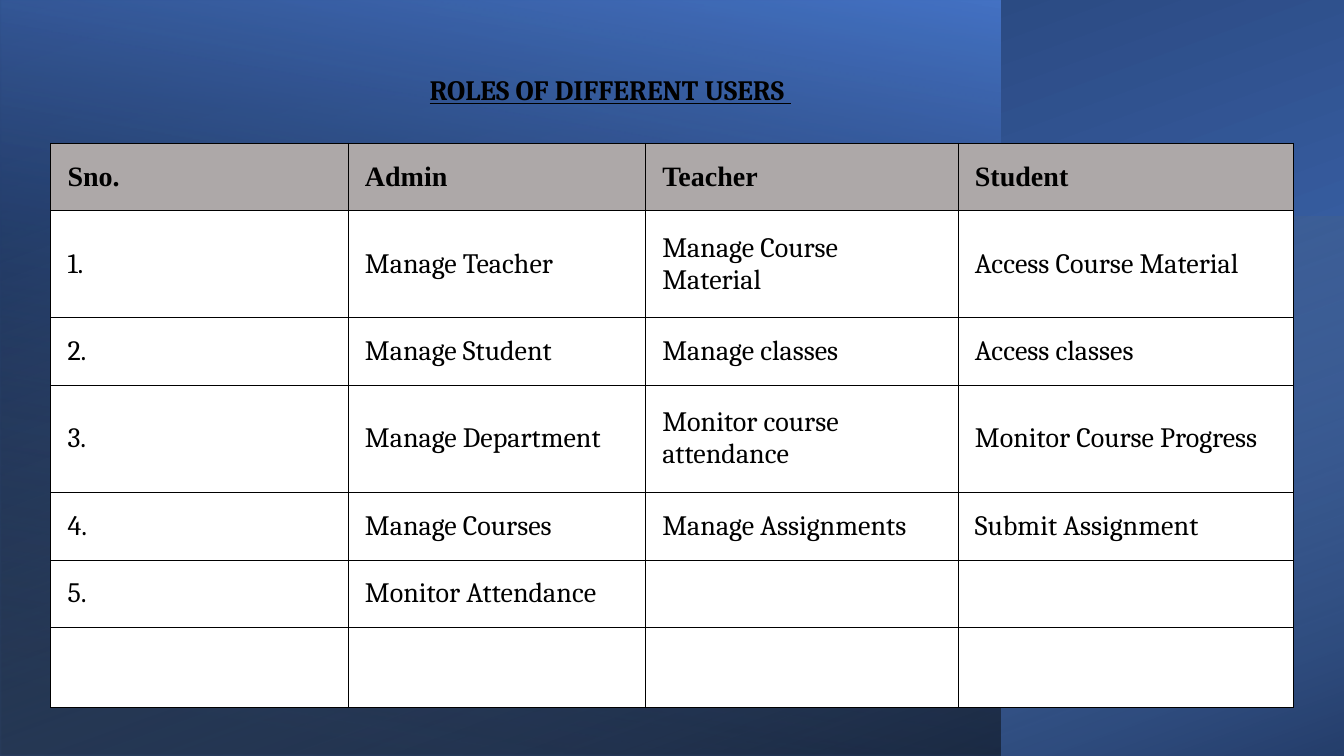
from dataclasses import dataclass

from lxml.etree import SubElement
from pptx import Presentation
from pptx.dml.color import RGBColor
from pptx.enum.shapes import MSO_SHAPE as Preset
from pptx.enum.text import MSO_ANCHOR as Anchor, MSO_AUTO_SIZE as AutoSize, PP_ALIGN as Align
from pptx.oxml.ns import qn
from pptx.util import Inches, Pt

WIDTH, HEIGHT = Inches(13.33), Inches(7.5)
COLORS = {
    "black": "000000",
    "white": "FFFFFF",
    "header": "ADA8A8",
    "blue": "4472C4",
    "navy": "203864",
    "sky": "9DC3E6",
}
HEADER_FONT, BODY_FONT = "Times New Roman", "Cambria"
TEXT_SIZE = 20
BORDER_WIDTH = 0.48

ROLES = [
    ("Sno.", "Admin", "Teacher", "Student"),
    ("1.", "Manage Teacher", "Manage Course Material", "Access Course Material"),
    ("2.", "Manage Student", "Manage classes", "Access classes"),
    ("3.", "Manage Department", "Monitor course attendance", "Monitor Course Progress"),
    ("4.", "Manage Courses", "Manage Assignments", "Submit Assignment"),
    ("5.", "Monitor Attendance", "", ""),
    ("", "", "", ""),
]
COLUMN_SHARES = (22.13, 22.13, 23.26, 24.98)
SINGLE_ROW, DOUBLE_ROW, LAST_ROW = 8.93, 14.17, 10.53
ROW_SHARES = (SINGLE_ROW, DOUBLE_ROW, SINGLE_ROW, DOUBLE_ROW, SINGLE_ROW, SINGLE_ROW, LAST_ROW)


@dataclass
class Stop:
    """One colour of a gradient, with position and opacity in percent."""
    position: int
    color: str
    opacity: int = 100


@dataclass
class Layer:
    """A background gradient; the area it covers is in percent of the slide."""
    left: float
    top: float
    width: float
    height: float
    rotation: int
    angle: int
    stops: tuple[Stop, ...]


LAYERS = [
    Layer(0, 0, 100, 100, 270, 200, (Stop(8, "blue"), Stop(100, "navy"))),
    Layer(0, 0, 74.4, 100, 180, 80, (Stop(8, "black", 52), Stop(100, "blue"))),
    Layer(0, 28.7, 100, 71.3, 270, 20, (Stop(0, "sky", 0), Stop(100, "black", 46))),
]


def across(share: float) -> int:
    """Turn a percentage of the slide width into a length."""
    return round(WIDTH * share / 100)


def down(share: float) -> int:
    """Turn a percentage of the slide height into a length."""
    return round(HEIGHT * share / 100)


def add_color(parent, color: str, opacity: int = 100) -> None:
    """Append a colour element to a fill or gradient stop."""
    entry = SubElement(parent, qn("a:srgbClr"), val=COLORS[color])
    if opacity < 100:
        SubElement(entry, qn("a:alpha"), val=str(opacity * 1000))


def add_layer(page, layer: Layer) -> None:
    """Draw one mirrored, rotated rectangle with a gradient fill."""
    left, top = across(layer.left), down(layer.top)
    width, height = across(layer.width), down(layer.height)
    if layer.rotation == 270:
        left, top = left + (width - height) // 2, top + (height - width) // 2
        width, height = height, width
    box = page.shapes.add_shape(Preset.RECTANGLE, left, top, width, height)
    box.rotation = layer.rotation
    box.shadow.inherit = False
    box.line.fill.background()
    box.fill.gradient()
    properties = box.element.spPr
    properties.find(qn("a:xfrm")).set("flipH", "1")
    gradient = properties.find(qn("a:gradFill"))
    for child in list(gradient):
        gradient.remove(child)
    gradient.set("rotWithShape", "1")
    stop_list = SubElement(gradient, qn("a:gsLst"))
    for stop in layer.stops:
        entry = SubElement(stop_list, qn("a:gs"), pos=str(stop.position * 1000))
        add_color(entry, stop.color, stop.opacity)
    SubElement(gradient, qn("a:lin"), ang=str(layer.angle * 60000), scaled="0")


def write(para, text: str, *, font: str = BODY_FONT, bold: bool = False,
          underline: bool | None = None) -> None:
    """Add one formatted span of text to a paragraph."""
    span = para.add_run()
    span.text = text
    span.font.name = font
    span.font.size = Pt(TEXT_SIZE)
    span.font.bold = bold
    span.font.underline = underline
    span.font.color.rgb = RGBColor.from_string(COLORS["black"])


def add_borders(cell) -> None:
    """Put a thin black line on all four sides of a cell."""
    properties = cell._tc.get_or_add_tcPr()
    for index, side in enumerate(("lnL", "lnR", "lnT", "lnB")):
        line = SubElement(properties, qn(f"a:{side}"), w=str(Pt(BORDER_WIDTH)))
        add_color(SubElement(line, qn("a:solidFill")), "black")
        properties.insert(index, line)


def add_roles(page) -> None:
    """Build the table of user roles."""
    table = page.shapes.add_table(
        len(ROLES), len(COLUMN_SHARES), across(3.75), down(18.93),
        across(sum(COLUMN_SHARES)), down(sum(ROW_SHARES))).table
    table.horz_banding = False
    for column, share in zip(table.columns, COLUMN_SHARES):
        column.width = across(share)
    for row, share in zip(table.rows, ROW_SHARES):
        row.height = down(share)
    for row_index, texts in enumerate(ROLES):
        is_header = row_index == 0
        for column_index, text in enumerate(texts):
            cell = table.cell(row_index, column_index)
            cell.fill.solid()
            fill = COLORS["header" if is_header else "white"]
            cell.fill.fore_color.rgb = RGBColor.from_string(fill)
            add_borders(cell)
            if text:
                cell.vertical_anchor = Anchor.MIDDLE
                cell.margin_left = cell.margin_right = Inches(0.17)
                cell.margin_top = cell.margin_bottom = Inches(0.09)
                write(cell.text_frame.paragraphs[0], text, bold=is_header,
                      font=HEADER_FONT if is_header else BODY_FONT)


def set_title(page, text: str) -> None:
    """Move and format the title placeholder, in front of the background."""
    title = page.shapes.title
    title.left, title.top = across(24.38), down(8.93)
    title.width, title.height = across(50.04), down(5.87)
    frame = title.text_frame
    frame.word_wrap = True
    frame.auto_size = AutoSize.SHAPE_TO_FIT_TEXT
    frame.vertical_anchor = Anchor.TOP
    para = frame.paragraphs[0]
    para.alignment = Align.LEFT
    para.line_spacing = 1.0
    para._p.get_or_add_pPr().set("marL", str(Inches(0.91)))
    write(para, text, bold=True, underline=True)
    title.element.getparent().append(title.element)


def main() -> None:
    """Build and save the slide."""
    deck = Presentation()
    deck.slide_width, deck.slide_height = WIDTH, HEIGHT
    page = deck.slides.add_slide(deck.slide_layouts.get_by_name("Title Only"))
    for layer in LAYERS:
        add_layer(page, layer)
    add_roles(page)
    set_title(page, "ROLES OF DIFFERENT USERS ")
    deck.save("out.pptx")


main()
